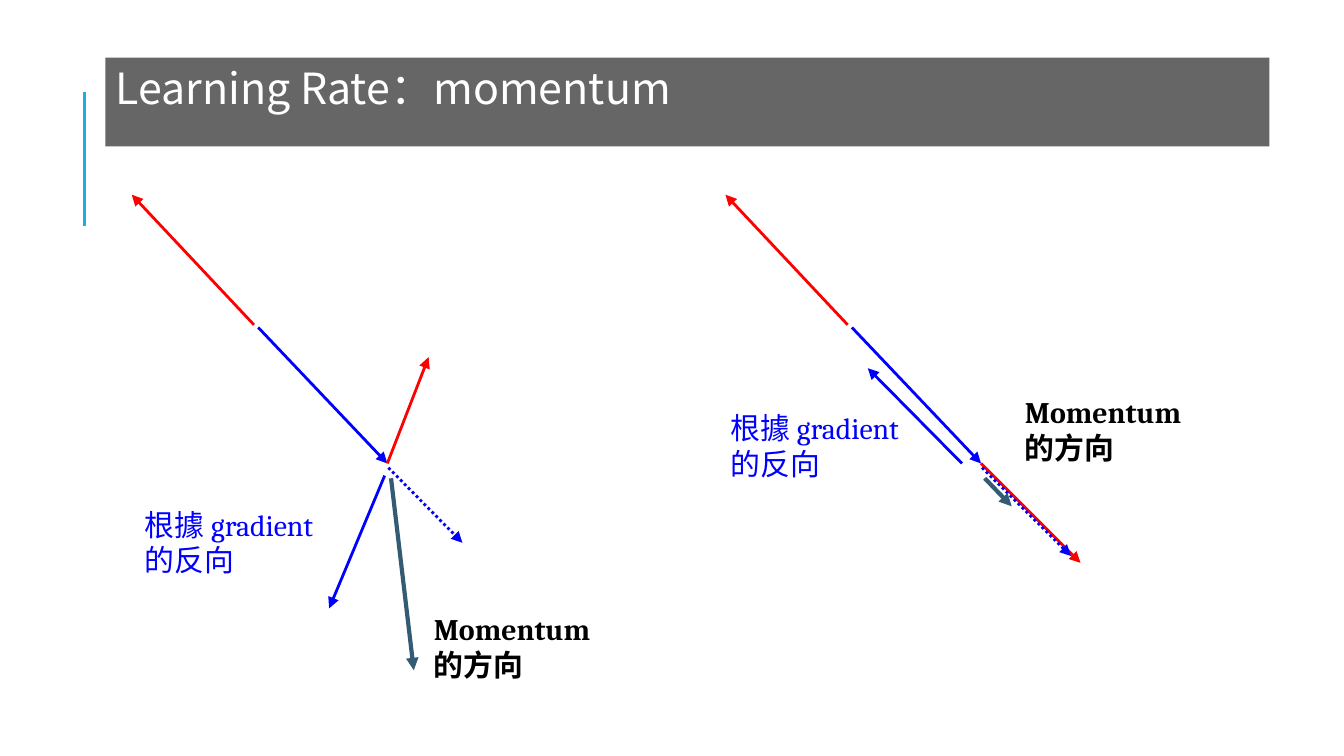
import pptx
import pptx.dml.color
import pptx.enum.dml
import pptx.enum.shapes
import pptx.enum.text
import pptx.oxml
import pptx.oxml.ns
import pptx.util
from pptx.util import Cm

RGBColor = pptx.dml.color.RGBColor
RED = RGBColor(0xFF, 0x00, 0x00)
BLUE = RGBColor(0x00, 0x00, 0xFF)
SLATE = RGBColor(0x33, 0x5B, 0x74)
ACCENT = RGBColor(0x1C, 0xAD, 0xE4)
GREY = RGBColor(0x66, 0x66, 0x66)
WHITE = RGBColor(0xFF, 0xFF, 0xFF)
BLACK = RGBColor(0x00, 0x00, 0x00)

TITLE_FONT = "Noto Sans CJK TC"
BODY_FONT = "Cambria"
TURN = (4.83, 5.08)


def element(tag, **attrs):
    """Return a new DrawingML element with the given attributes."""
    el = pptx.oxml.parse_xml(f"<a:{tag} {pptx.oxml.ns.nsdecls('a')}/>")
    for name, value in attrs.items():
        el.set(name, value)
    return el


def write_text(sp, text, *, font, size, color, bold=False, inset=0.25, spacing=1.0):
    """Put one left-aligned, top-anchored paragraph into a shape."""
    tf = sp.text_frame
    tf.word_wrap = True
    tf.auto_size = pptx.enum.text.MSO_AUTO_SIZE.NONE
    tf.vertical_anchor = pptx.enum.text.MSO_ANCHOR.TOP
    tf.margin_left = tf.margin_right = tf.margin_top = tf.margin_bottom = Cm(inset)
    p = tf.paragraphs[0]
    p.alignment = pptx.enum.text.PP_ALIGN.LEFT
    p.line_spacing = spacing
    p.space_before = pptx.util.Pt(0)
    r = p.add_run()
    r.text = text
    r.font.name = font
    r.font.size = pptx.util.Pt(size)
    r.font.bold = bold
    r.font.color.rgb = color


def add_line(s, start, end, color, width=1.5, dotted=False, arrow=True):
    """Draw a straight line between two points in centimetres."""
    cx = s.shapes.add_connector(
        pptx.enum.shapes.MSO_CONNECTOR.STRAIGHT, *map(Cm, start + end)
    )
    cx.line.color.rgb = color
    cx.line.width = pptx.util.Pt(width)
    if dotted:
        cx.line.dash_style = pptx.enum.dml.MSO_LINE.ROUND_DOT
    if arrow:
        cx.line._get_or_add_ln().append(element("tailEnd", type="triangle"))
    cx._element.spPr.append(element("effectLst"))


def add_title(s, text, left, top, width, height):
    """Place the title band and the accent rule beside it."""
    sp = s.shapes.title
    sp.left, sp.top, sp.width, sp.height = map(Cm, (left, top, width, height))
    sp.fill.solid()
    sp.fill.fore_color.rgb = GREY
    write_text(sp, text, font=TITLE_FONT, size=23, color=WHITE, inset=0.19, spacing=0.9)
    x = left - 0.4
    add_line(s, (x, top + 3.19), (x, top + 0.64), ACCENT, arrow=False)


def add_panel(s, left, top, gradient, ahead, reverse, momentum, labels):
    """Draw one momentum case with its top-left corner at the given point."""
    arrows = [
        ((2.31, 2.46), (0, 0), RED, 1.5, False),
        ((2.39, 2.51), TURN, BLUE, 1.5, False),
        (*reverse, BLUE, 1.5, False),
        (TURN, gradient, RED, 1.5, False),
        ((4.85, 5.16), ahead, BLUE, 1.5, True),
        ((4.9, 5.36), momentum, SLATE, 2.25, False),
    ]
    for (x1, y1), (x2, y2), color, width, dotted in arrows:
        add_line(s, (left + x1, top + y1), (left + x2, top + y2), color, width, dotted)
    texts = [
        ("根據 gradient 的反向", (4.24, 1.55), BLUE, False),
        ("Momentum 的方向", (3.61, 2.18), BLACK, True),
    ]
    for (x, y), (text, size, color, bold) in zip(labels, texts):
        sp = s.shapes.add_textbox(Cm(left + x), Cm(top + y), *map(Cm, size))
        write_text(sp, text, font=BODY_FONT, size=16, color=color, bold=bold)


def main():
    """Build the slide and save it."""
    prs = pptx.Presentation()
    prs.slide_width, prs.slide_height = Cm(25.4), Cm(14.29)
    s = prs.slides.add_slide(prs.slide_layouts[5])
    add_title(s, "Learning Rate：momentum", 1.99, 1.09, 22, 1.68)
    add_panel(
        s, 2.49, 3.68,
        gradient=(5.61, 3.07),
        ahead=(6.25, 6.58),
        reverse=((4.78, 5.31), (3.73, 7.82)),
        momentum=(5.33, 8.99),
        labels=((0, 5.64), (5.46, 7.62)),
    )
    add_panel(
        s, 13.71, 3.68,
        gradient=(6.71, 6.96),
        ahead=(6.53, 6.83),
        reverse=((4.47, 5.08), (2.69, 3.28)),
        momentum=(5.41, 5.89),
        labels=((-0.15, 3.81), (5.41, 3.51)),
    )
    prs.save("out.pptx")


if __name__ == "__main__":
    main()
